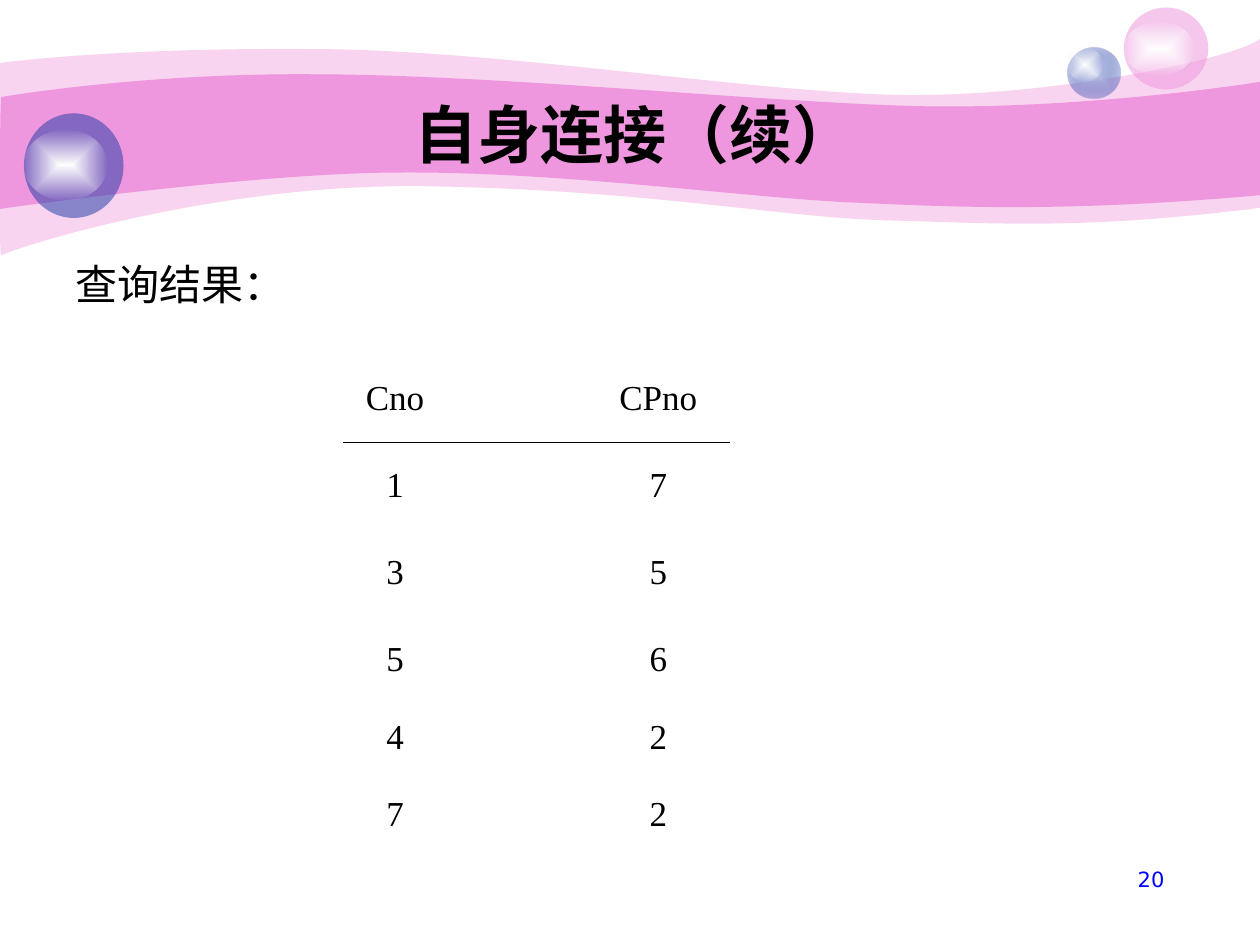
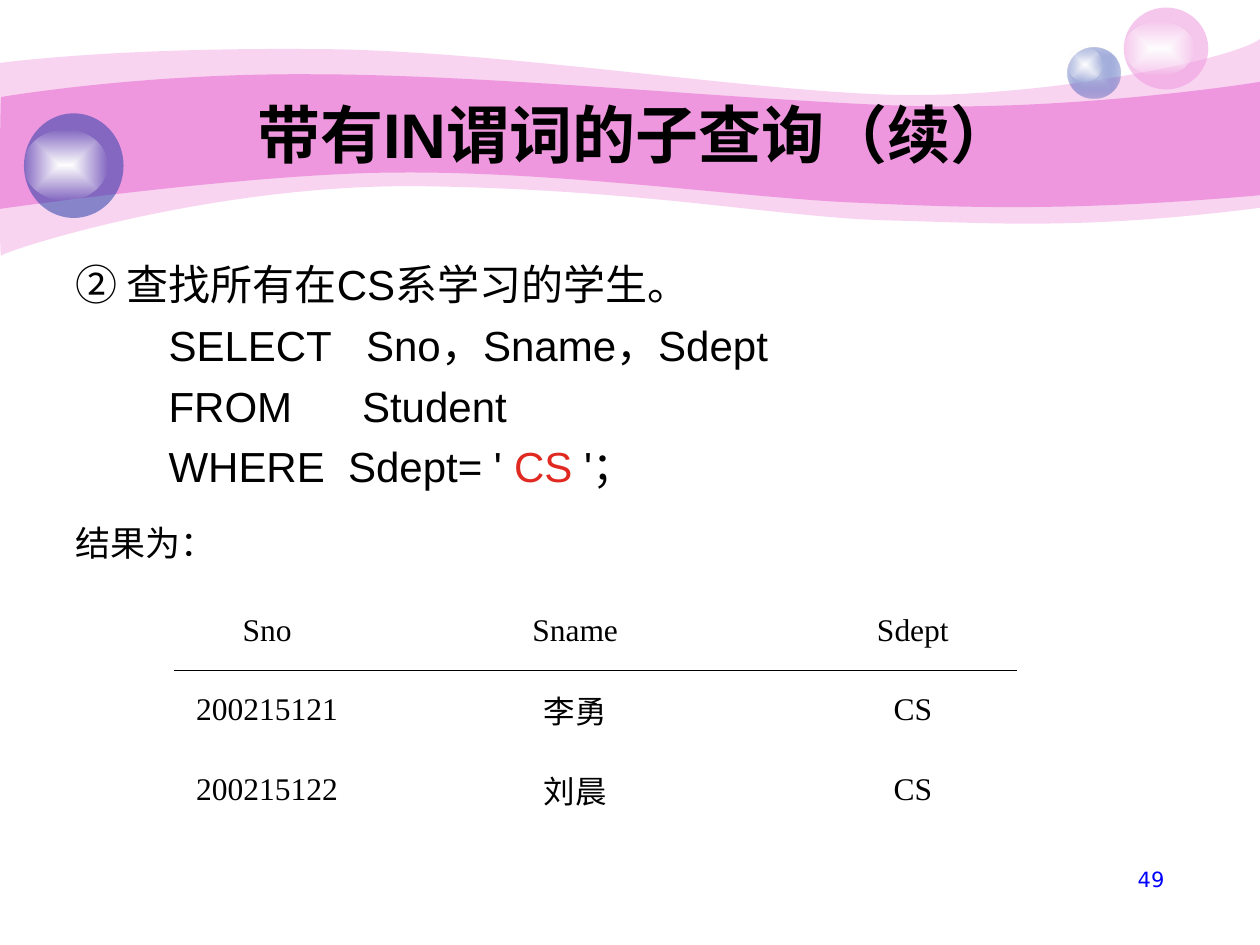
from dataclasses import dataclass
from typing import NamedTuple

from lxml import etree
from pptx import Presentation
from pptx import util as u
from pptx.dml import color as c
from pptx.enum import shapes as s, text as t
from pptx.oxml import ns

PINK, BLUE, PALE_BLUE, WHITE = "EF97DE", "233DA9", "C7CEE9", "FFFFFF"
BLACK, RED, NUMBER_BLUE = "000000", "E02920", "0000FF"


class Place(NamedTuple):
    left: float
    top: float
    width: float
    height: float

    def lengths(self) -> list[u.Length]:
        return [u.Inches(value) for value in self]


class Stop(NamedTuple):
    color: str
    alpha: int = 100


@dataclass
class Wave:
    start: tuple
    segments: list
    alpha: int


@dataclass
class Ball:
    body: Place
    shine: Place
    stops: list


@dataclass
class Line:
    text: str
    size: int = 24
    before: float = 6
    spacing: float = 1
    highlight: str = ""


@dataclass
class Grid:
    place: Place
    columns: list
    heights: list
    rows: list
    size: int
    anchor: t.MSO_ANCHOR
    before: float
    rule: tuple


@dataclass
class Page:
    title: str
    number: str
    body: Place
    lines: list
    grid: Grid


WAVES = [
    Wave((0, 0.5),
         [(0.24, 0.47, 1.07, 0.38, 2.47, 0.39), (3.86, 0.39, 5.75, 0.7, 6.99, 0.75),
          (8.22, 0.8, 9.8, 0.47, 10, 0.31), (10, 1.65),
          (8.58, 1.83, 7.87, 1.77, 7.05, 1.75), (6.22, 1.73, 5.15, 1.51, 3.43, 1.48),
          (1.72, 1.44, 0.04, 1.99, 0.01, 2.03), (-0.01, 2.08, 0, 0.75, 0, 0.5)], 41),
    Wave((0.01, 0.77),
         [(0.02, 0.77, 1.1, 0.58, 2.48, 0.59), (3.86, 0.59, 5.95, 0.8, 7.18, 0.84),
          (8.41, 0.88, 9.76, 0.69, 10, 0.65), (10, 1.55),
          (8.53, 1.68, 7.65, 1.65, 6.82, 1.61), (5.99, 1.58, 4.47, 1.36, 3.17, 1.37),
          (2.03, 1.37, -0.02, 1.66, -0.01, 1.66), (0, 1.66, 0, 0.77, 0.01, 0.77)], 100),
]
BALLS = [
    Ball(Place(8.47, 0.38, 0.42, 0.4), Place(8.47, 0.38, 0.28, 0.27),
         [Stop(PALE_BLUE), Stop(BLUE, 31)]),
    Ball(Place(8.92, 0.06, 0.67, 0.65), Place(8.92, 0.17, 0.56, 0.43), [Stop(PINK, 53)]),
    Ball(Place(0.19, 0.9, 0.79, 0.83), Place(0.19, 1.03, 0.66, 0.56), [Stop(BLUE, 53)]),
]
SHINE = [Stop(WHITE), Stop(WHITE, 0)]
TITLE = Place(1, 0.75, 8.08, 0.62)
NUMBER = Place(7.17, 6.83, 2.17, 0.52)

PAGES = [
    Page("自身连接（续）", "20", Place(0.5, 2, 4.42, 0.65), [Line("查询结果：")],
         Grid(Place(2.09, 2.96, 4.19, 3.84), [2.09, 2.09], [0.69, 0.69, 0.69, 1.77],
              [["Cno", "CPno"], ["1", "7"], ["3", "5"], ["5\n4\n7", "6\n2\n2"]],
              20, t.MSO_ANCHOR.TOP, 22.25, (2.72, 5.79, 3.51))),
    Page("带有IN谓词的子查询（续）", "49", Place(0.5, 2, 7.18, 2.54),
         [Line("② 查找所有在CS系学习的学生。"),
          Line("        SELECT   Sno，Sname，Sdept"),
          Line("        FROM      Student"),
          Line("        WHERE  Sdept= ' CS '；", highlight="CS"),
          Line("结果为：", size=20, before=5, spacing=1.5)],
         Grid(Place(0.98, 4.69, 7.64, 1.89), [2.28, 2.61, 2.75], [0.63] * 3,
              [["Sno", "Sname", "Sdept"], ["200215121", "李勇", "CS"],
               ["200215122", "刘晨", "CS"]],
              18, t.MSO_ANCHOR.MIDDLE, 0, (1.38, 8.07, 5.32))),
]


def rgb(value: str) -> c.RGBColor:
    return c.RGBColor.from_string(value)


def add_element(parent, tag: str, **attributes):
    return etree.SubElement(parent, ns.qn(tag), attributes)


def add_color(parent, stop: Stop) -> None:
    element = add_element(parent, "a:srgbClr", val=stop.color)
    if stop.alpha < 100:
        add_element(element, "a:alpha", val=str(stop.alpha * 1000))


def paint(shape, stops: list) -> None:
    shape.shadow.inherit = False
    shape.line.fill.background()
    shape.fill.background()
    if len(stops) == 1:
        fill = etree.Element(ns.qn("a:solidFill"))
        add_color(fill, stops[0])
    else:
        fill = etree.Element(ns.qn("a:gradFill"), rotWithShape="1")
        stop_list = add_element(fill, "a:gsLst")
        for position, stop in zip((0, 100000), stops):
            add_color(add_element(stop_list, "a:gs", pos=str(position)), stop)
        gradient_path = add_element(fill, "a:path", **{"path": "rect"})
        add_element(gradient_path, "a:fillToRect", l="50000", t="50000", r="50000", b="50000")
    properties = shape.element.spPr
    properties.replace(properties.find(ns.qn("a:noFill")), fill)


def add_wave(shapes, wave: Wave):
    builder = shapes.build_freeform(*(u.Inches(value) for value in wave.start))
    for segment in wave.segments:
        lengths = [u.Inches(value) for value in segment]
        builder.add_line_segments(list(zip(lengths[::2], lengths[1::2])), close=False)
    builder.add_line_segments([], close=True)
    shape = builder.convert_to_shape()
    steps = iter(shape.element.xpath(".//a:lnTo"))
    for segment in wave.segments:
        step = next(steps)
        if len(segment) == 6:
            curve = etree.Element(ns.qn("a:cubicBezTo"))
            step.addprevious(curve)
            for part in (step, next(steps), next(steps)):
                curve.append(part[0])
                part.getparent().remove(part)
    paint(shape, [Stop(PINK, wave.alpha)])
    return shape


def add_ball(shapes, ball: Ball):
    group = shapes.add_group_shape()
    for place, stops in ((ball.body, ball.stops), (ball.shine, SHINE)):
        paint(group.shapes.add_shape(s.MSO_SHAPE.OVAL, *place.lengths()), stops)
    return group


def decorate_layout(layout, page) -> None:
    tree = layout.shapes.element
    drawn = [add_wave(page.shapes, wave) for wave in WAVES]
    drawn += [add_ball(page.shapes, ball) for ball in BALLS]
    for shape in drawn:
        tree.append(shape.element)
    for number, properties in enumerate(tree.xpath(".//p:cNvPr"), 1):
        properties.set("id", str(number))


def write(frame, content: str, *, size: int, font: str = "Arial", color: str = BLACK,
          bold: bool = False, align=t.PP_ALIGN.LEFT, before: float = 0,
          spacing: float = 1, highlight: str = "") -> None:
    first = not frame.paragraphs[0].runs
    para = frame.paragraphs[0] if first else frame.add_paragraph()
    para.alignment = align
    para.space_before = u.Pt(0 if first else before)
    para.line_spacing = spacing
    parts = content.partition(highlight) if highlight else (content,)
    for part in parts:
        span = para.add_run()
        span.text = part
        span.font.size = u.Pt(size)
        span.font.name = font
        span.font.bold = bold
        span.font.color.rgb = rgb(RED if part == highlight else color)


def add_box(page, place: Place):
    frame = page.shapes.add_textbox(*place.lengths()).text_frame
    frame.word_wrap = True
    return frame


def add_title(page, title: str) -> None:
    box = page.shapes.title
    box.left, box.top, box.width, box.height = TITLE.lengths()
    box.text_frame.vertical_anchor = t.MSO_ANCHOR.MIDDLE
    write(box.text_frame, title, size=36, bold=True, align=t.PP_ALIGN.CENTER)


def add_grid(page, grid: Grid) -> None:
    frame = page.shapes.add_table(len(grid.rows), len(grid.columns), *grid.place.lengths())
    table = frame.table
    table.first_row = table.horz_banding = False
    for column, width in zip(table.columns, grid.columns):
        column.width = u.Inches(width)
    for row, height, values in zip(table.rows, grid.heights, grid.rows):
        row.height = u.Inches(height)
        for cell, value in zip(row.cells, values):
            cell.fill.background()
            cell.vertical_anchor = grid.anchor
            for entry in value.split("\n"):
                write(cell.text_frame, entry, size=grid.size, font="Times New Roman",
                      align=t.PP_ALIGN.CENTER, before=grid.before)
    left, right, level = (u.Inches(value) for value in grid.rule)
    rule = page.shapes.add_connector(s.MSO_CONNECTOR.STRAIGHT, left, level, right, level)
    rule.line.color.rgb = rgb(BLACK)
    rule.line.width = u.Pt(0.75)
    add_element(rule.element.spPr, "a:effectLst")


def fill_page(page, content: Page) -> None:
    add_title(page, content.title)
    body = add_box(page, content.body)
    for line in content.lines:
        write(body, line.text, size=line.size, before=line.before, spacing=line.spacing,
              highlight=line.highlight)
    add_grid(page, content.grid)
    write(add_box(page, NUMBER), content.number, size=12, font="DejaVu Sans",
          color=NUMBER_BLUE, align=t.PP_ALIGN.RIGHT)


def main() -> None:
    deck = Presentation()
    deck.slide_width, deck.slide_height = u.Inches(10), u.Inches(7.5)
    layout = deck.slide_layouts.get_by_name("Title Only")
    pages = [deck.slides.add_slide(layout) for _ in PAGES]
    decorate_layout(layout, pages[0])
    for page, content in zip(pages, PAGES):
        fill_page(page, content)
    deck.save("out.pptx")


if __name__ == "__main__":
    main()
